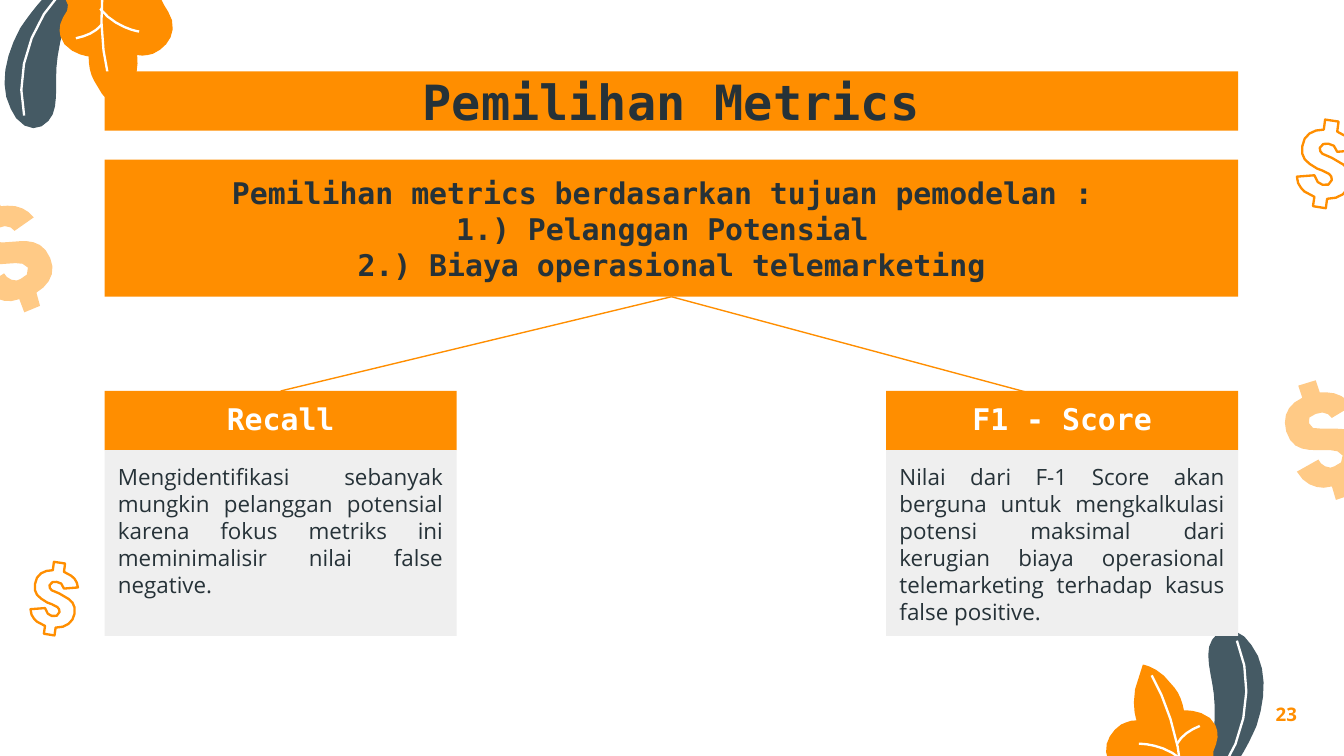
import math

import pptx
import pptx.util
import pptx.dml.color
import pptx.oxml.ns
from lxml import etree
from pptx.enum.shapes import MSO_CONNECTOR, MSO_SHAPE
from pptx.enum.text import MSO_ANCHOR, PP_ALIGN

Cm, Pt = pptx.util.Cm, pptx.util.Pt
RGB = pptx.dml.color.RGBColor

ORANGE = RGB(0xFF, 0x8E, 0x00)
PEACH = RGB(0xFF, 0xCA, 0x86)
SLATE = RGB(0x45, 0x5A, 0x64)
INK = RGB(0x26, 0x32, 0x38)
GREY = RGB(0xEF, 0xEF, 0xEF)
WHITE = RGB(0xFF, 0xFF, 0xFF)
MONO, SANS = "DejaVu Sans Mono", "Open Sans"

# Content
TITLE = ["Pemilihan Metrics"]
GOALS = ["Pemilihan metrics berdasarkan tujuan pemodelan : ",
         "1.) Pelanggan Potensial ",
         "2.) Biaya operasional telemarketing"]
METRICS = [
    ("Recall", "Mengidentifikasi sebanyak mungkin pelanggan potensial karena "
     "fokus metriks ini meminimalisir nilai false negative."),
    ("F1 - Score", "Nilai dari F-1 Score akan berguna untuk mengkalkulasi potensi "
     "maksimal dari kerugian biaya operasional telemarketing terhadap kasus "
     "false positive."),
]
PAGE = ["23"]

# Ornaments in hundredths of an inch: a start point, then lines (2 numbers)
# and Bezier curves (6 numbers)
DARK_LEAF = [
    (12, 88), (20, 98, 30, 97, 36, 90), (44, 82, 41, 64, 42, 50),
    (43, 35, 49, 6, 63, -12), (58, -21), (42, -11), (32, -2, 23, 9, 15, 21),
    (4, 41, -1, 64, 8, 81), (12, 88)]
LOBED_LEAF = [
    (76, 70), (83, 79, 90, 81, 90, 81), (99, 64),
    (104, 50, 102, 41, 102, 41), (106, 42, 110, 41, 114, 40),
    (123, 36, 131, 27, 128, 15), (124, 3, 115, 0, 123, -9),
    (132, -17, 139, -27, 131, -43), (126, -50),
    (118, -60, 110, -63, 110, -63), (110, -63, 49, -44, 42, -27),
    (40, -24, 40, -20, 40, -17), (41, -10, 46, -6, 49, 0),
    (51, 2, 51, 5, 50, 8), (47, 13), (44, 18, 44, 23, 45, 27),
    (48, 33), (55, 41, 66, 42, 66, 42), (66, 48, 67, 55, 70, 60), (76, 70)]
VEINS = [
    [(18, 86), (9.5, 49, 27.5, 4, 60, -18)],
    [(85, 72), (75, 44, 69, -6, 87, -55)],
    [(74.5, 6.5), (85, 20, 102, 23.5, 103.5, 23.5)],
    [(56.5, 28.5), (64, 27, 71, 24, 75.5, 18.5)]]
THIN_DOLLAR = [
    (996, 90.5), (986, 89), (985, 96.5), (977, 96.5, 970, 100, 969, 109),
    (968, 115, 970, 119, 974.5, 122), (980, 125.5), (984, 127), (989, 129.5),
    (990.5, 130.5, 991, 132, 991, 134), (990.5, 138, 987, 138, 984, 137.5),
    (980.5, 135.5), (978, 130.5), (965, 131.5), (965, 137, 968, 140, 970.5, 142.5),
    (978, 146.5), (977, 153.5), (986.5, 155), (987.5, 148),
    (997, 148, 1003, 143.5, 1004.5, 135.5), (1005.5, 129, 1003, 125, 999.5, 122.5),
    (991, 117.5), (984, 114.5), (982.5, 113.5, 982, 112, 982, 110),
    (983, 107, 986, 106.5, 988.5, 107), (992.5, 108.5), (995, 113), (1007.5, 112),
    (1007, 107, 1005, 104, 1001.5, 101.5), (995, 98), (996, 90.5)]
BOLD_DOLLAR = [
    (979, 283), (966, 287), (969, 296), (958, 301, 954, 310, 957, 321),
    (961, 334, 970, 335, 980, 335), (990, 335), (994, 335, 997, 336, 999, 339),
    (1000, 343, 997, 346, 993, 347), (990, 348), (986, 348, 982, 345, 981, 342),
    (965, 351), (970, 360, 978, 363, 985, 363), (991, 362), (994, 372),
    (1006, 368), (1004, 358), (1014, 353, 1020, 344, 1016, 333),
    (1012, 321, 1003, 319, 994, 319), (983, 319), (978, 319, 975, 319, 974, 315),
    (973, 312, 974, 309, 979, 308), (984, 307), (987, 307, 990, 309, 991, 311),
    (1006, 302), (1002, 296, 995, 292, 987, 292), (982, 292), (979, 283)]

SPRIG_PIVOT, THIN_PIVOT, BOLD_PIVOT = (40, 39.5), (987, 122), (987, 327.5)
SPRIGS = [(SPRIG_PIVOT, 0), ((907, 526.5), -190.3)]    # centre, turn
THIN_DOLLARS = [(THIN_PIVOT, 1), ((41, 445.5), 0.83)]  # centre, scale
BOLD_DOLLARS = [(BOLD_PIVOT, 0), ((8, 188.5), -4)]     # centre, turn

prs = pptx.Presentation()
prs.slide_width, prs.slide_height = Cm(25.4), Cm(14.29)
slide = prs.slides.add_slide(prs.slide_layouts[6])
shapes = slide.shapes


def flatten(outline):
    points = [outline[0]]
    for segment in outline[1:]:
        if len(segment) == 2:
            points.append(segment)
            continue
        x0, y0 = points[-1]
        x1, y1, x2, y2, x3, y3 = segment
        steps = min(6, 1 + round(math.dist((x0, y0), (x3, y3)) / 7))
        for i in range(1, steps + 1):
            t = i / steps
            a, b, c, d = (1 - t) ** 3, 3 * t * (1 - t) ** 2, 3 * t * t * (1 - t), t ** 3
            points.append((a * x0 + b * x1 + c * x2 + d * x3,
                           a * y0 + b * y1 + c * y2 + d * y3))
    return points


def ornament(outline, pivot, centre, turn=0, scale=1, fill=None, line=None, closed=True):
    unit = Cm(2.54) / 100
    cos, sin = (scale * f(math.radians(turn)) for f in (math.cos, math.sin))
    points = []
    for x, y in flatten(outline):
        dx, dy = x - pivot[0], y - pivot[1]
        points.append((round((centre[0] + dx * cos - dy * sin) * unit),
                       round((centre[1] + dx * sin + dy * cos) * unit)))
    builder = shapes.build_freeform(*points[0])
    builder.add_line_segments(points[1:], close=closed)
    paint(builder.convert_to_shape(), fill, line)


def paint(shape, fill=None, line=None):
    shape.shadow.inherit = False
    if fill is None:
        shape.fill.background()
    else:
        shape.fill.solid()
        shape.fill.fore_color.rgb = fill
    if line is None:
        shape.line.fill.background()
    else:
        shape.line.color.rgb = line
        shape.line.width = Pt(1.25)


def text_box(lines, left, top, width, height, fill=None, font=MONO, size=16,
             color=INK, bold=True, align=PP_ALIGN.CENTER, anchor=MSO_ANCHOR.MIDDLE):
    box = (Cm(left), Cm(top), Cm(width), Cm(height))
    if fill is None:
        shape = shapes.add_textbox(*box)
    else:
        shape = shapes.add_shape(MSO_SHAPE.RECTANGLE, *box)
        paint(shape, fill)
    frame = shape.text_frame
    frame.word_wrap = True
    frame.vertical_anchor = anchor
    frame.margin_left = frame.margin_right = Cm(0.25)
    frame.margin_top = frame.margin_bottom = Cm(0.25)
    for i, line in enumerate(lines):
        paragraph = frame.paragraphs[0] if i == 0 else frame.add_paragraph()
        paragraph.alignment = align
        run = paragraph.add_run()
        run.text = line
        run.font.name, run.font.size, run.font.bold = font, Pt(size), bold
        run.font.color.rgb = color


def branch(x1, y1, x2, y2):
    line = shapes.add_connector(MSO_CONNECTOR.STRAIGHT, Cm(x1), Cm(y1), Cm(x2), Cm(y2))
    line.line.color.rgb, line.line.width = ORANGE, Pt(0.75)
    etree.SubElement(line._element.spPr, pptx.oxml.ns.qn("a:effectLst"))


# Leaves and dollar signs
for centre, turn in SPRIGS:
    ornament(DARK_LEAF, SPRIG_PIVOT, centre, turn, fill=SLATE)
    ornament(VEINS[0], SPRIG_PIVOT, centre, turn, line=WHITE, closed=False)
    ornament(LOBED_LEAF, SPRIG_PIVOT, centre, turn, fill=ORANGE)
    for vein in VEINS[1:]:
        ornament(vein, SPRIG_PIVOT, centre, turn, line=WHITE, closed=False)
for centre, scale in THIN_DOLLARS:
    ornament(THIN_DOLLAR, THIN_PIVOT, centre, scale=scale, line=ORANGE)
for centre, turn in BOLD_DOLLARS:
    ornament(BOLD_DOLLAR, BOLD_PIVOT, centre, turn, fill=PEACH)

# Goals and the two metrics, inside equal side margins
LEFT, WIDTH, CARD, BAR = 1.98, 21.42, 6.65, 1.12
GOALS_TOP, GOALS_HEIGHT, CARD_TOP = 3.02, 2.59, 7.39
text_box(GOALS, LEFT, GOALS_TOP, WIDTH, GOALS_HEIGHT, fill=ORANGE)
for i, (name, reason) in enumerate(METRICS):
    x = LEFT + i * (WIDTH - CARD)
    text_box([name], x, CARD_TOP, CARD, BAR, fill=ORANGE, color=WHITE,
             anchor=MSO_ANCHOR.BOTTOM)
    text_box([reason], x, CARD_TOP + BAR, CARD, 3.51, fill=GREY, font=SANS, size=12,
             bold=False, align=PP_ALIGN.JUSTIFY, anchor=MSO_ANCHOR.TOP)

# Page number, branches and title
text_box(PAGE, 23.55, 12.95, 1.52, 1.09, font=SANS, size=10, color=ORANGE)
fork_x, fork_y = LEFT + WIDTH / 2, GOALS_TOP + GOALS_HEIGHT
branch(fork_x, fork_y, LEFT + CARD / 2, CARD_TOP)
branch(20.17, 7.62, fork_x, fork_y)
text_box(TITLE, LEFT, 1.35, WIDTH, BAR, fill=ORANGE, size=26)

prs.save("out.pptx")
